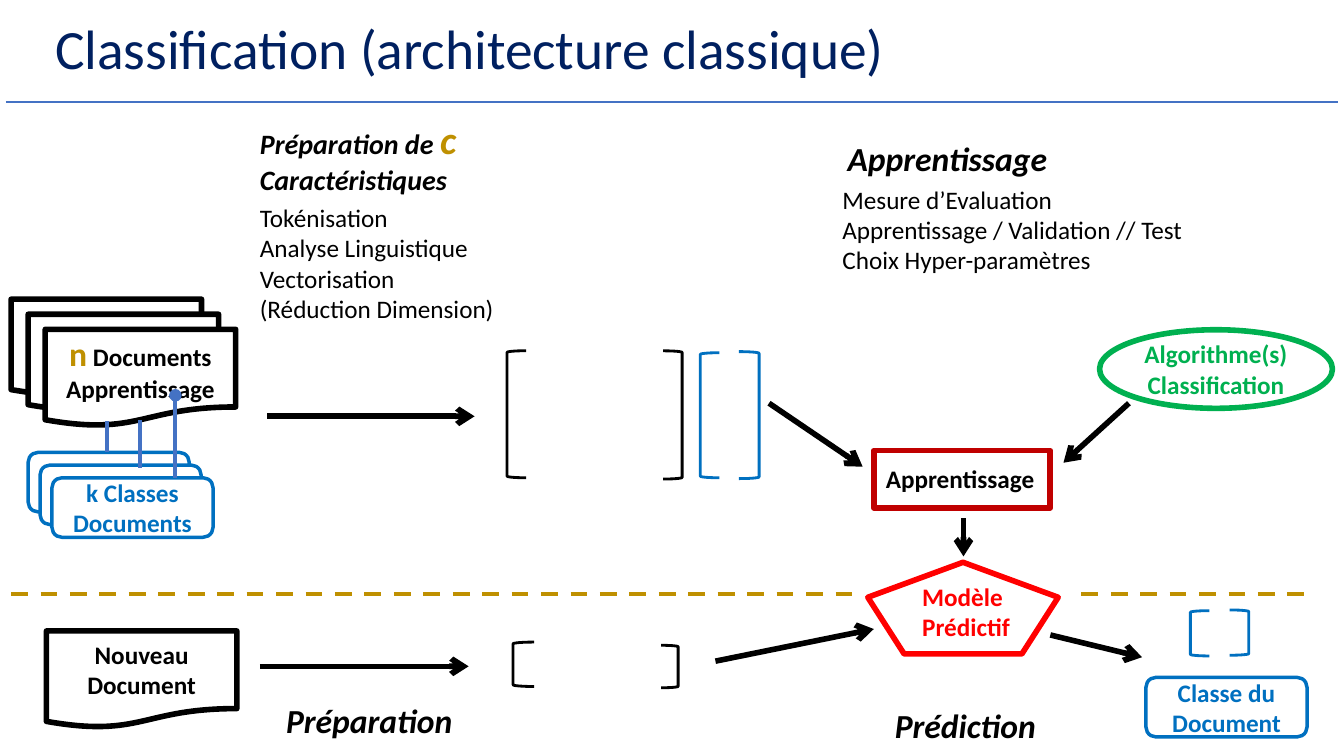
"""Build a slide showing the classic architecture of document classification."""
from lxml.etree import SubElement
from pptx import Presentation
from pptx.dml.color import RGBColor
from pptx.enum.dml import MSO_LINE
from pptx.enum.shapes import MSO_CONNECTOR, MSO_SHAPE as Kind
from pptx.enum.text import MSO_ANCHOR, PP_ALIGN as Align
from pptx.oxml.ns import qn
from pptx.util import Cm, Pt

rgb = RGBColor.from_string
BLACK, BLUE, GOLD, LINK = "000000", "0070C0", "BF9000", "4472C4"
RED, CRIMSON, GREEN = "FF0000", "C00000", "00B050"
LABEL = dict(name="Calibri", size=Pt(18), bold=True)
STEPS = dict(name="Calibri", size=Pt(18))
HEADING = dict(name="Calibri", size=Pt(24), bold=True, italic=True)
SUBHEADING = HEADING | dict(size=Pt(20))
TITLE = dict(name="Calibri", size=Pt(39.6))

deck = Presentation()
deck.slide_width, deck.slide_height = Cm(33.87), Cm(19.05)
slide = deck.slides.add_slide(deck.slide_layouts[6])
shapes = slide.shapes


def write(frame, lines, colour, style, align=Align.LEFT):
    """Fill a frame; a line is a string or a list of (text, style changes, colour)."""
    for number, line in enumerate(lines):
        paragraph = frame.add_paragraph() if number else frame.paragraphs[0]
        paragraph.alignment = align
        for text, changes, tint in [(line, {}, colour)] if isinstance(line, str) else line:
            run = paragraph.add_run()
            run.text = text
            run.font.color.rgb = rgb(tint)
            for attribute, value in (style | changes).items():
                setattr(run.font, attribute, value)


def outline(kind, box, colour, weight, lines=(), filled=True):
    """Add an outlined shape with centred label lines."""
    shape = shapes.add_shape(kind, *map(Cm, box))
    shape.shadow.inherit = False
    if filled:
        shape.fill.solid()
        shape.fill.fore_color.rgb = rgb("FFFFFF")
    else:
        shape.fill.background()
    shape.line.color.rgb = rgb(colour)
    shape.line.width = Pt(weight)
    write(shape.text_frame, lines, colour, LABEL, Align.CENTER)
    return shape


corpus_lines = [[("n", dict(size=Pt(24)), GOLD), (" Documents", {}, BLACK)], "Apprentissage"]
for layer in range(3):
    front = layer == 2
    outline(Kind.FLOWCHART_DOCUMENT, (0.28 + 0.43 * layer, 7.54 + 0.38 * layer, 4.8, 2.44),
            BLACK, 4, corpus_lines if front else (), filled=layer > 0)
    outline(Kind.ROUNDED_RECTANGLE, (0.71 + 0.3 * layer, 11.4 + 0.32 * layer, 4.06, 1.5),
            BLUE, 2.5, ["k Classes", "Documents"] if front else ())

outline(Kind.FLOWCHART_DOCUMENT, (1.17, 15.9, 4.8, 2.44), BLACK, 4, ["Nouveau", "Document"])
outline(Kind.OVAL, (27.71, 8.31, 5.87, 1.98), GREEN, 4, ["Algorithme(s) Classification"])
outline(Kind.RECTANGLE, (22.02, 11.35, 4.45, 1.45), CRIMSON, 4)
outline(Kind.REGULAR_PENTAGON, (21.87, 14.17, 4.8, 2.31), RED, 4)
outline(Kind.ROUNDED_RECTANGLE, (28.88, 17.07, 4.06, 1.5), BLUE, 2.5, ["Classe du", "Document"])

matrix_brackets = [
    (BLACK, (12.78, 8.84, 0.48, 3.2), (16.71, 8.84, 0.48, 3.23)),
    (BLUE, (17.65, 8.89, 0.48, 3.15), (18.62, 8.86, 0.51, 3.2)),
    (BLACK, (12.93, 16.18, 0.53, 1.12), (16.66, 16.26, 0.43, 1.07)),
    (BLUE, (30, 15.39, 0.48, 1.14), (30.99, 15.37, 0.48, 1.14)),
]
for colour, opening, closing in matrix_brackets:
    outline(Kind.LEFT_BRACKET, opening, colour, 2, filled=False)
    outline(Kind.LEFT_BRACKET, closing, colour, 2, filled=False).rotation = 180

title_lines = ["Classification (architecture classique)"]
feature_lines = [[("Préparation de ", {}, BLACK), ("c", dict(size=Pt(28)), GOLD)],
                 "Caractéristiques"]
feature_steps = ["Tokénisation", "Analyse Linguistique", "Vectorisation", "(Réduction Dimension)"]
training_steps = ["Mesure d’Evaluation", "Apprentissage / Validation // Test",
                  "Choix Hyper-paramètres"]
texts = [
    ((1.14, 0.38, 31.83, 1.83), title_lines, "002060", TITLE, Align.LEFT, True),
    ((6.3, 2.79, 5.49, 2.31), feature_lines, BLACK, SUBHEADING, Align.LEFT, False),
    ((6.3, 4.98, 6.48, 3.33), feature_steps, BLACK, STEPS, Align.LEFT, False),
    ((21.11, 3.35, 5.59, 1.27), ["Apprentissage"], BLACK, HEADING, Align.LEFT, False),
    ((20.98, 4.52, 9.19, 2.57), training_steps, BLACK, STEPS, Align.LEFT, False),
    ((21.97, 11.56, 4.45, 1.02), ["Apprentissage"], BLACK, LABEL, Align.CENTER, True),
    ((22.99, 14.53, 2.84, 1.8), ["Modèle", "Prédictif"], RED, LABEL, Align.LEFT, True),
    ((6.96, 17.5, 4.75, 1.27), ["Préparation"], BLACK, HEADING, Align.LEFT, False),
    ((22.3, 17.65, 4.11, 1.27), ["Prédiction"], BLACK, HEADING, Align.LEFT, False),
]
for box, lines, colour, style, align, wrap in texts:
    frame = shapes.add_textbox(*map(Cm, box)).text_frame
    frame.word_wrap = wrap
    write(frame, lines, colour, style, align)
    if style is TITLE:
        frame.vertical_anchor = MSO_ANCHOR.MIDDLE
        frame.paragraphs[0].line_spacing = 0.9

title_rule = dict(colour=LINK, weight=2)
class_link = dict(colour=LINK, weight=3)
flow = dict(colour=BLACK, weight=4, end=("a:tailEnd", "arrow"))
phase_divider = dict(colour=GOLD, weight=3, dash=MSO_LINE.DASH)
connections = [
    (title_rule, (0.15, 2.57, 33.71, 2.57)),
    (class_link | dict(end=("a:headEnd", "oval")), (4.42, 9.96, 4.42, 12.04)),
    (class_link, (3.53, 10.59, 3.53, 11.79)),
    (class_link, (2.69, 10.62, 2.69, 11.4)),
    (flow, (6.73, 10.49, 11.96, 10.49)),
    (flow, (19.38, 10.16, 21.74, 11.76)),
    (flow, (28.45, 10.16, 26.8, 11.66)),
    (flow, (24.28, 13.06, 24.28, 14.02)),
    (flow, (6.55, 16.79, 11.81, 16.79)),
    (flow, (18.03, 16.66, 22.02, 15.85)),
    (flow, (26.47, 16, 28.78, 16.56)),
    (phase_divider, (0.28, 14.96, 21.74, 14.96)),
    (phase_divider, (27.25, 14.96, 32.94, 14.96)),
]
for look, ends in connections:
    connector = shapes.add_connector(MSO_CONNECTOR.STRAIGHT, *map(Cm, ends))
    connector.line.color.rgb = rgb(look["colour"])
    connector.line.width = Pt(look["weight"])
    if "dash" in look:
        connector.line.dash_style = look["dash"]
    properties = connector._element.spPr
    if "end" in look:
        tag, head = look["end"]
        SubElement(properties.find(qn("a:ln")), qn(tag), type=head)
    SubElement(properties, qn("a:effectLst"))

deck.save("out.pptx")
